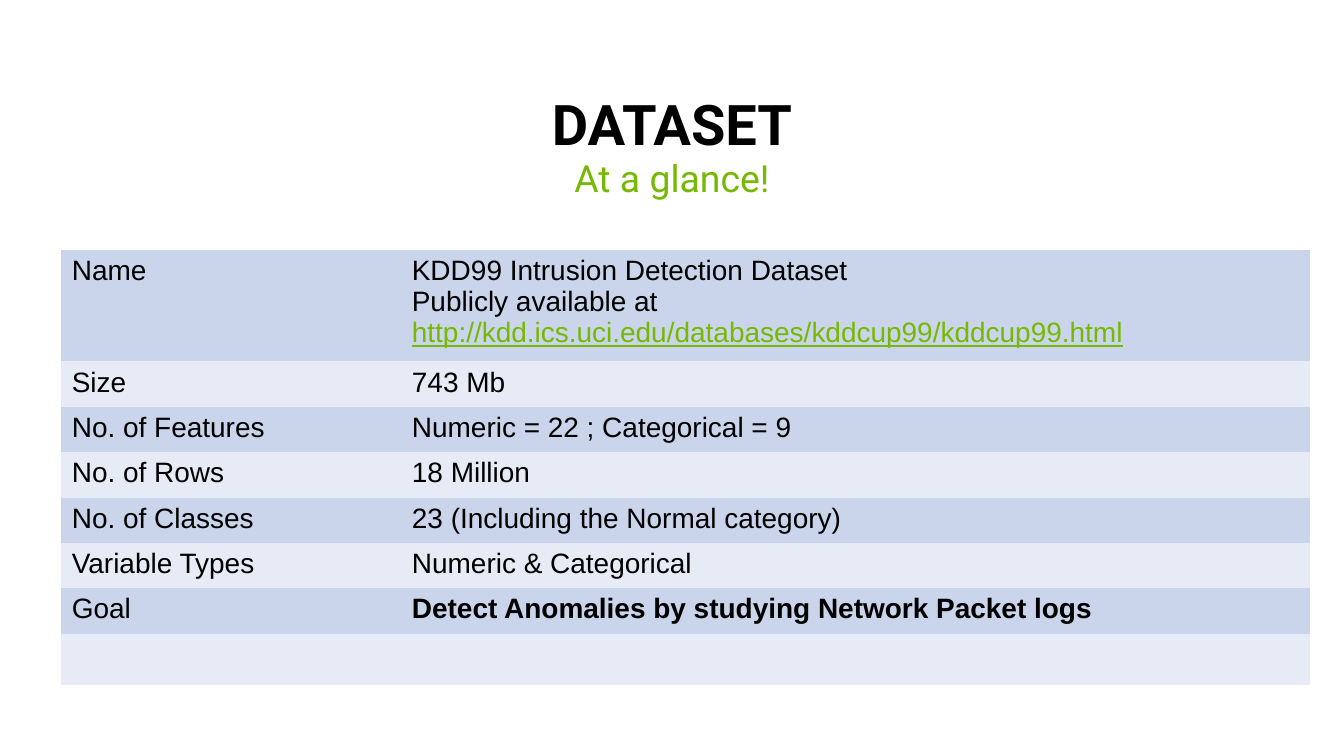
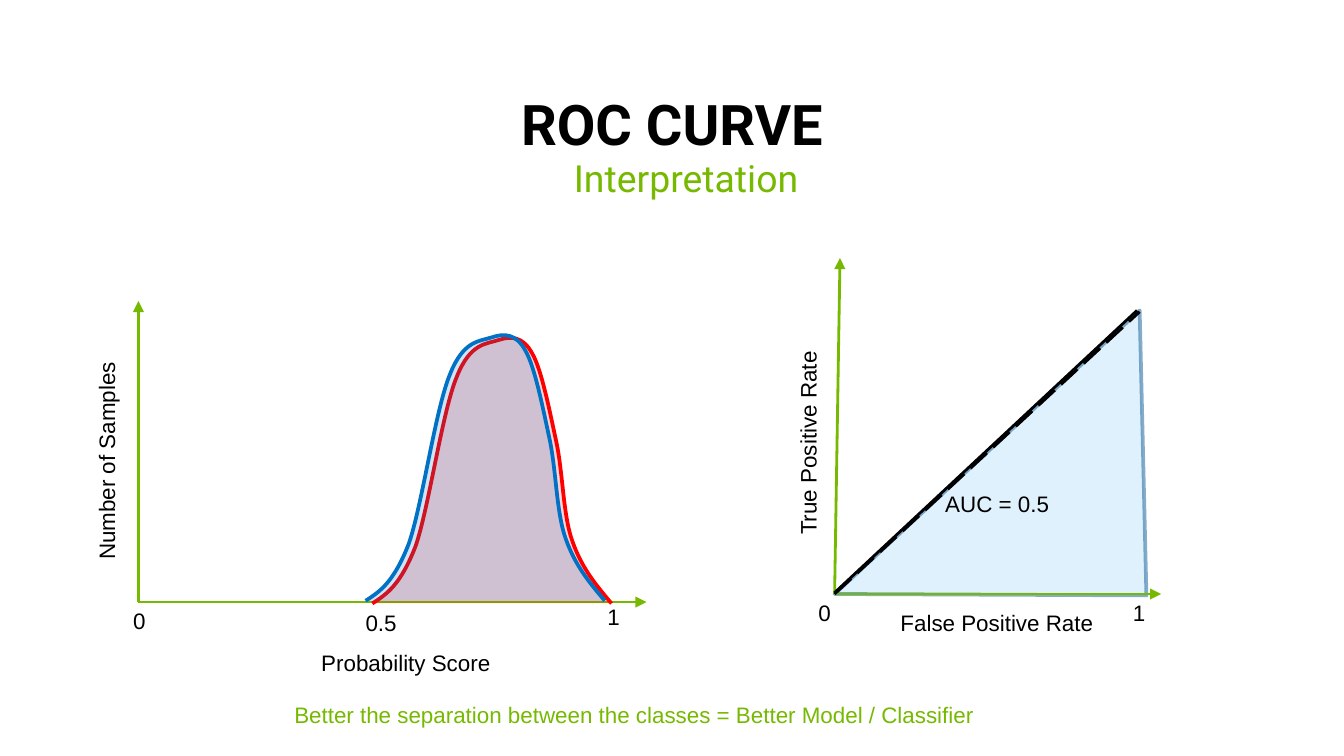
"""Two slides: a dataset summary table and an ROC curve interpretation."""
from lxml.etree import SubElement
from pptx import Presentation
from pptx.dml.color import RGBColor
from pptx.enum.dml import MSO_LINE
from pptx.enum.shapes import MSO_CONNECTOR
from pptx.enum.text import MSO_ANCHOR, PP_ALIGN as AL
from pptx.oxml.ns import qn
from pptx.util import Inches as In, Pt

W = 10
H = W * 9 / 16
GREEN, BLACK, RED, BLUE = "76B900", "000000", "FF0000", "0071C5"
BANDS = ("CAD4EA", "E6EBF5")
NO_STYLE = "{2D5ABB26-0587-4C30-8999-92F81FD0307C}"
HEAD_X, HEAD_W = W / 22, W * 10 / 11

URL = "http://kdd.ics.uci.edu/databases/kddcup99/kddcup99.html"
DATASET = [
    ("Name", [[("KDD99 Intrusion Detection Dataset", {})],
              [("Publicly available at ", {}), (URL, {"color": GREEN, "underline": True})]]),
    ("Size", [[("743 Mb", {})]]),
    ("No. of Features", [[("Numeric = 22 ; Categorical = 9", {})]]),
    ("No. of Rows", [[("18 Million", {})]]),
    ("No. of Classes", [[("23 (Including the Normal category)", {})]]),
    ("Variable Types", [[("Numeric & Categorical", {})]]),
    ("Goal", [[("Detect Anomalies by studying Network Packet logs", {"bold": True})]]),
    ("", []),
]
COLS, ROW_H = (2.53, 6.76), Pt(24.3)

SCORE_O, RATE_O, RATE_TOP = (1.03, 4.48), (6.21, 4.42), (8.48, 2.31)
AXES = [(SCORE_O, (1.03, 2.24)), (SCORE_O, (4.81, 4.48)),
        (RATE_O, (6.25, 1.92)), (RATE_O, (8.64, 4.42))]
LABELS = [
    ("0", (0.91, 4.48, 0.31, 0.34), AL.LEFT, 0),
    ("0.5", (2.64, 4.49, 0.57, 0.34), AL.LEFT, 0),
    ("1", (4.44, 4.45, 0.57, 0.34), AL.LEFT, 0),
    ("Probability Score", (1.31, 4.79, 3.42, 0.34), AL.CENTER, 0),
    ("Number of Samples", (-0.77, 3.25, 3.2, 0.36), AL.CENTER, 270),
    ("False Positive Rate", (6.62, 4.49, 2.42, 0.41), AL.LEFT, 0),
    ("0", (6.01, 4.42, 0.22, 0.41), AL.LEFT, 0),
    ("1", (8.35, 4.42, 0.57, 0.41), AL.LEFT, 0),
    ("True Positive Rate", (4.68, 2.45, 2.8, 0.42), AL.LEFT, 270),
    ("AUC = 0.5", (6.9, 3.61, 1.04, 0.28), AL.CENTER, 0),
]
TAKEAWAY = "Better the separation between the classes = Better Model / Classifier"
BELL = [(2.77, 4.49),
        (2.88, 4.42), (2.98, 4.35), (3.09, 4.07),
        (3.19, 3.79), (3.29, 3.06), (3.4, 2.8),
        (3.5, 2.55), (3.62, 2.56), (3.71, 2.53),
        (3.8, 2.5), (3.89, 2.5), (3.96, 2.63),
        (4.03, 2.75), (4.09, 3.06), (4.14, 3.29),
        (4.19, 3.53), (4.19, 3.84), (4.26, 4.03),
        (4.33, 4.23), (4.44, 4.36), (4.55, 4.49)]
BELLS = [(RED, 17, 0, 0), (BLUE, 19, -0.05, -0.02)]


def rgb(value):
    return RGBColor.from_string(value)


def add_run(p, text, size, color=BLACK, font="Arial", bold=False, underline=False):
    r = p.add_run()
    r.text = text
    f = r.font
    f.size, f.name, f.bold, f.underline = Pt(size), font, bold, underline
    f.color.rgb = rgb(color)


def set_margins(box):
    box.margin_left = box.margin_right = In(0.08)
    box.margin_top = box.margin_bottom = In(0.04)


def set_end_font(p, size):
    end = SubElement(p._p, qn("a:endParaRPr"), sz=str(size * 100))
    SubElement(end, qn("a:latin"), typeface="Arial")


def add_text(s, text, at, size=12, align=AL.LEFT, rotation=0, anchor=MSO_ANCHOR.TOP, **style):
    sp = s.shapes.add_textbox(*map(In, at))
    sp.rotation = rotation
    tf = sp.text_frame
    tf.word_wrap, tf.vertical_anchor = True, anchor
    set_margins(tf)
    p = tf.paragraphs[0]
    p.alignment = align
    add_run(p, text, size, **style)
    return p


def add_heading(s, title, subtitle, indent=None):
    p = add_text(s, title, (HEAD_X, 0.67, HEAD_W, 0.54), 30, AL.CENTER,
                 anchor=MSO_ANCHOR.BOTTOM, font="Roboto", bold=True)
    q = add_text(s, subtitle, (HEAD_X, 1.15, HEAD_W, 0.48), 20, AL.CENTER,
                 font="Roboto", color=GREEN)
    p.line_spacing = q.line_spacing = 0.9
    if indent:
        pPr = q._p.get_or_add_pPr()
        for name, value in zip(("marL", "indent"), indent):
            pPr.set(name, str(In(value)))


def add_line(s, start, end, color, arrow=False, dash=None):
    c = s.shapes.add_connector(MSO_CONNECTOR.STRAIGHT, *map(In, start + end))
    c.line.color.rgb, c.line.width = rgb(color), Pt(1.5)
    if dash:
        c.line.dash_style = dash
    if arrow:
        SubElement(c.line._get_or_add_ln(), qn("a:tailEnd"), type="triangle")
    SubElement(c._element.spPr, qn("a:effectLst"))


def set_alpha(fill_parent, percent):
    clr = fill_parent.find(qn("a:solidFill"))[0]
    SubElement(clr, qn("a:alpha"), val=str(percent * 1000))


def add_outline(s, points, fill, alpha, line, closed=False, curved=False):
    pts = [(In(x), In(y)) for x, y in points]
    fb = s.shapes.build_freeform(*pts[0], scale=1.0)
    fb.add_line_segments(pts[1:], close=closed)
    sp = fb.convert_to_shape()
    sp.shadow.inherit = False
    sp.fill.solid()
    sp.fill.fore_color.rgb = rgb(fill)
    sp.line.color.rgb, sp.line.width = rgb(line), Pt(2)
    set_alpha(sp._element.spPr, alpha)
    if curved:
        outline = next(sp._element.iter(qn("a:path")))
        steps = outline.findall(qn("a:lnTo"))
        for i in range(0, len(steps), 3):
            bez = SubElement(outline, qn("a:cubicBezTo"))
            for step in steps[i:i + 3]:
                bez.append(step[0])
                outline.remove(step)
    return sp


def build_dataset(s):
    add_heading(s, "DATASET", "At a glance!")
    frame = s.shapes.add_table(len(DATASET), len(COLS), In(HEAD_X), In(1.86),
                               In(sum(COLS)), ROW_H * len(DATASET))
    table = frame.table
    table.first_row = table.horz_banding = False
    table._tbl.tblPr.find(qn("a:tableStyleId")).text = NO_STYLE
    for col, width in zip(table.columns, COLS):
        col.width = In(width)
    for i, (name, value) in enumerate(DATASET):
        table.rows[i].height = ROW_H
        label = [[(name, {})]] if name else []
        for j, paragraphs in enumerate((label, value)):
            cell = table.cell(i, j)
            set_margins(cell)
            cell.fill.solid()
            cell.fill.fore_color.rgb = rgb(BANDS[i % 2])
            tf = cell.text_frame
            for k, runs in enumerate(paragraphs):
                p = tf.add_paragraph() if k else tf.paragraphs[0]
                for text, style in runs:
                    add_run(p, text, 15, **style)
            for p in tf.paragraphs:
                set_end_font(p, 15 if paragraphs else 18)


def build_roc(s):
    area = add_outline(s, [RATE_O, RATE_TOP, (8.53, 4.43)], "C0E3FE", 49, "00528F", closed=True)
    set_alpha(area.line._get_or_add_ln(), 47)
    add_heading(s, "ROC CURVE", "Interpretation", indent=(0.42, -0.21))
    for start, end in AXES:
        add_line(s, start, end, GREEN, arrow=True)
    add_line(s, RATE_O, (8.48, 2.32), BLACK, dash=MSO_LINE.LONG_DASH)
    for text, at, align, rotation in LABELS:
        add_text(s, text, at, align=align, rotation=rotation)
    for color, alpha, dx, dy in BELLS:
        add_outline(s, [(x + dx, y + dy) for x, y in BELL], color, alpha, color, curved=True)
    add_line(s, (6.21, 4.41), (8.46, 2.31), BLACK)
    add_text(s, TAKEAWAY, (2.11, 5.18, 5.54, 0.28), color=GREEN)


def main():
    prs = Presentation()
    prs.slide_width, prs.slide_height = In(W), In(H)
    for build in (build_dataset, build_roc):
        build(prs.slides.add_slide(prs.slide_layouts[6]))
    prs.save("out.pptx")


if __name__ == "__main__":
    main()
